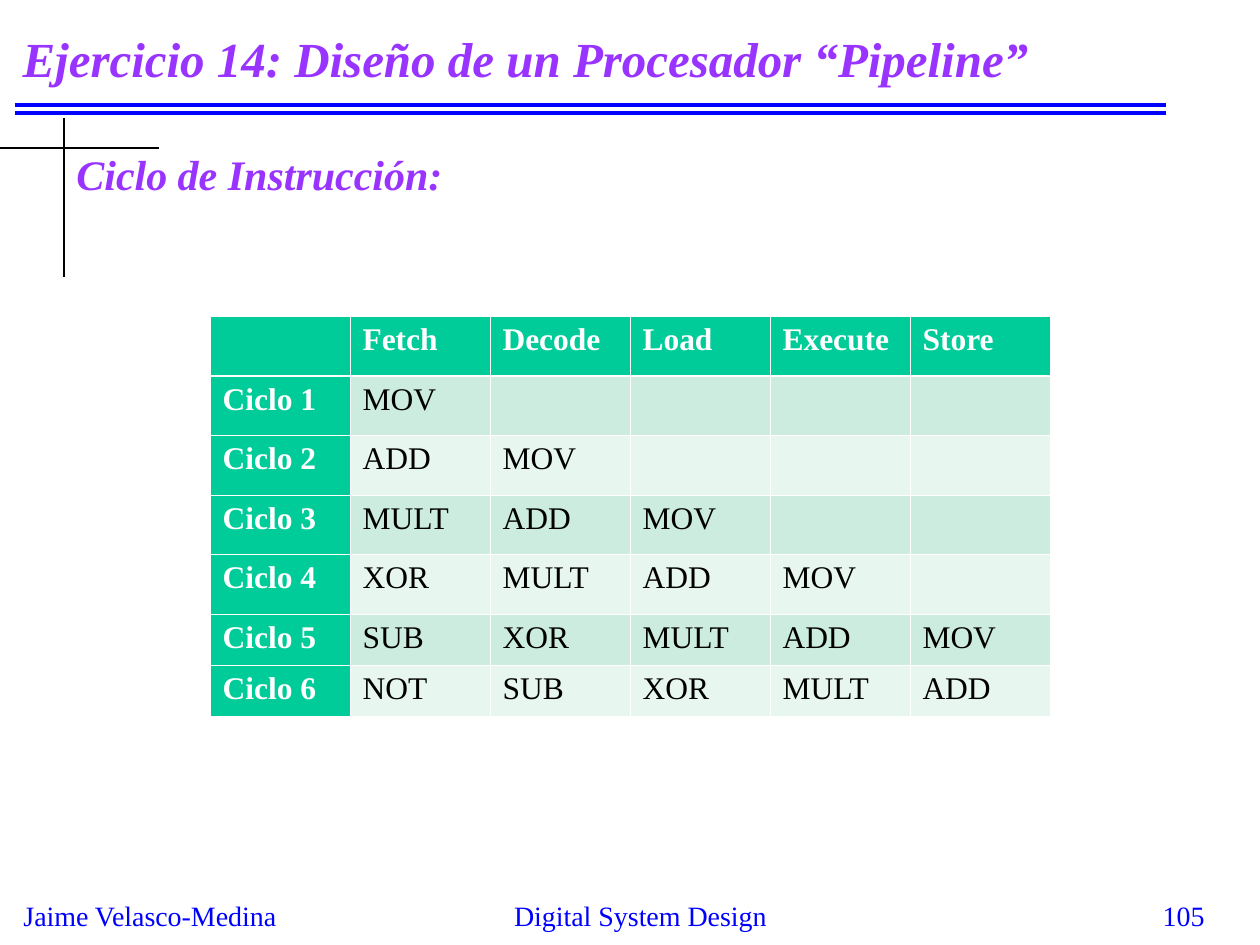
from lxml.etree import SubElement
from pptx import Presentation
from pptx.dml.color import RGBColor
from pptx.enum.shapes import MSO_CONNECTOR
from pptx.enum.text import MSO_ANCHOR, MSO_AUTO_SIZE, PP_ALIGN
from pptx.oxml.ns import qn
from pptx.util import Emu, Pt

SCALE = 914400 / 126
FACE = "Times New Roman"
HUES = {
    "blue": "0000FF", "purple": "9933FF", "green": "00CC99", "mint": "CBECDE",
    "pale": "E7F6EF", "white": "FFFFFF", "black": "000000",
}
STAGES = ["Fetch", "Decode", "Load", "Execute", "Store"]
CODE = ["MOV", "ADD", "MULT", "XOR", "SUB", "NOT"]
ROWS = [60, 59, 60, 59, 60, 51, 51]
COL = 140


def px(n):
    return Emu(round(n * SCALE))


def hue(name):
    return RGBColor.from_string(HUES[name])


def style(para, size, color, bold=False, italic=False, align=PP_ALIGN.LEFT):
    para.alignment = align
    font = para.font
    font.name, font.size = FACE, Pt(size)
    font.bold, font.italic = bold, italic
    font.color.rgb = hue(color)


def place(shape, x, y, w, h):
    shape.left, shape.top, shape.width, shape.height = map(px, (x, y, w, h))


def heading(shape, text, size):
    frame = shape.text_frame
    frame.text = text
    frame.word_wrap = True
    frame.auto_size = MSO_AUTO_SIZE.NONE
    frame.vertical_anchor = MSO_ANCHOR.MIDDLE
    style(frame.paragraphs[0], size, "purple", bold=True, italic=True)


def footer(slide, text, box, align, wrap=True):
    frame = slide.shapes.add_textbox(*map(px, box)).text_frame
    frame.text = text
    frame.word_wrap = wrap
    style(frame.paragraphs[0], 16, "blue", align=align)


def rule(slide, ends, color, width):
    line = slide.shapes.add_connector(MSO_CONNECTOR.STRAIGHT, *map(px, ends))
    line.line.color.rgb = hue(color)
    line.line.width = Pt(width)
    SubElement(line._element.spPr, qn("a:effectLst"))


def edges(cell, row):
    """Draw white borders, heavier between the header and the first cycle."""
    props = cell._tc.get_or_add_tcPr()
    for side in "LRTB":
        heavy = (row, side) in ((0, "B"), (1, "T"))
        line = SubElement(props, qn(f"a:ln{side}"), w=str(Pt(1.47 if heavy else 0.45)))
        fill = SubElement(line, qn("a:solidFill"))
        SubElement(fill, qn("a:srgbClr"), val=HUES["white"])


def entry(row, col):
    """Each instruction moves one stage to the right per cycle."""
    if row == 0:
        return STAGES[col - 1] if col else ""
    if col == 0:
        return f"Ciclo {row}"
    return CODE[row - col] if row >= col else ""


def cycles(slide):
    cols = len(STAGES) + 1
    box = map(px, (210, 316, COL * cols, sum(ROWS)))
    grid = slide.shapes.add_table(len(ROWS), cols, *box).table
    for col in grid.columns:
        col.width = px(COL)
    for i, high in enumerate(ROWS):
        grid.rows[i].height = px(high)
        for j in range(cols):
            cell = grid.cell(i, j)
            head = i == 0 or j == 0
            edges(cell, i)
            cell.fill.solid()
            cell.fill.fore_color.rgb = hue("green" if head else "mint" if i % 2 else "pale")
            cell.text = entry(i, j)
            style(cell.text_frame.paragraphs[0], 18, "white" if head else "black", bold=head)


def main():
    deck = Presentation()
    deck.slide_width, deck.slide_height = px(1260), px(945)
    slide = deck.slides.add_slide(deck.slide_layouts[5])

    for y in (105, 113):
        rule(slide, (15, y, 1166, y), "blue", 2.25)
    rule(slide, (0, 148, 159, 148), "black", 0.75)
    rule(slide, (64, 118, 64, 277), "black", 0.75)

    title = slide.shapes.title
    place(title, 10, 10, 1155, 95)
    heading(title, "Ejercicio 14: Diseño de un Procesador “Pipeline”", 28)
    topic = slide.shapes.add_textbox(*map(px, (64, 126, 1155, 95)))
    heading(topic, "Ciclo de Instrucción:", 24)

    cycles(slide)

    footer(slide, "Jaime Velasco-Medina", (11, 892, 282, 47), PP_ALIGN.LEFT, wrap=False)
    footer(slide, "Digital System Design", (420, 892, 441, 42), PP_ALIGN.CENTER)
    footer(slide, "105", (955, 892, 262, 32), PP_ALIGN.RIGHT)
    deck.save("out.pptx")


if __name__ == "__main__":
    main()
